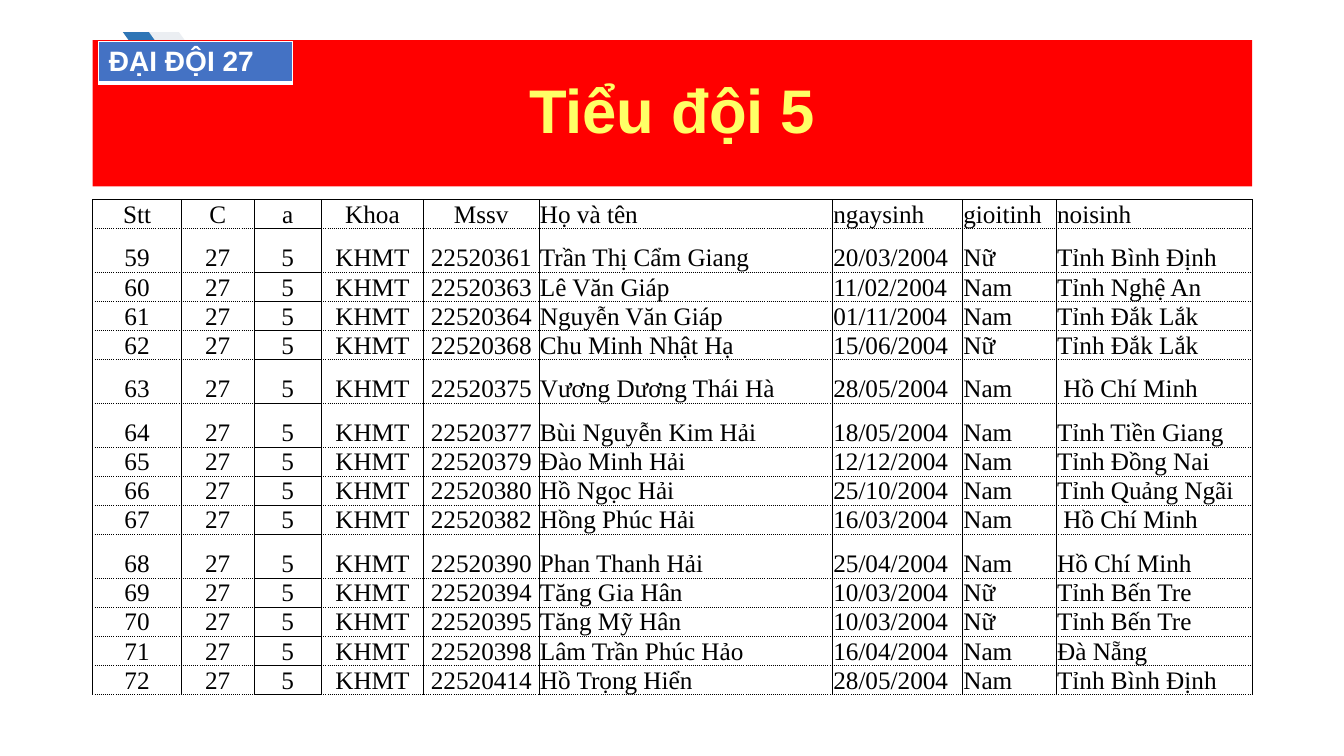
import pptx
import pptx.util
import pptx.dml.color
import pptx.enum.shapes
import pptx.enum.text
import pptx.oxml.ns
import lxml.etree

Pt = pptx.util.Pt
RGB = pptx.dml.color.RGBColor
SHAPE = pptx.enum.shapes.MSO_SHAPE
ALIGN = pptx.enum.text.PP_ALIGN
ANCHOR = pptx.enum.text.MSO_ANCHOR

WIDE = pptx.util.Inches(13.33)
HIGH = pptx.util.Inches(7.5)
COL = WIDE / 100
ROW = HIGH / 100

RED = RGB(0xFF, 0x00, 0x00)
LEMON = RGB(0xFF, 0xFF, 0x66)
NAVY = RGB(0x2E, 0x75, 0xB6)
MIST = RGB(0xEB, 0xEE, 0xF2)
BLUE = RGB(0x44, 0x72, 0xC4)
BLACK = RGB(0x00, 0x00, 0x00)
WHITE = RGB(0xFF, 0xFF, 0xFF)

TITLE = {"size": Pt(44), "name": "Arial", "bold": True}
BADGE = {"size": Pt(20), "name": "Arial", "bold": True}
BODY = {"size": Pt(18), "name": "Times New Roman", "bold": False}
PAD = {"margin_left": Pt(0.5), "margin_right": Pt(0.5), "margin_top": Pt(0.2),
       "margin_bottom": 0, "vertical_anchor": ANCHOR.BOTTOM}
PLAIN = {"first_row": False, "horz_banding": False}

SOLID = (BLACK, 0.5, "solid")
DOTS = (BLACK, 0.5, "dot")
THIN = (WHITE, 1, "solid")
THICK = (WHITE, 3, "solid")

WIDTHS = [88, 72, 67, 101, 115, 291, 129, 93, 194]
SHORT, TALL = 3.86, 5.76
TALL_AT = (1, 5, 6, 10)
SQUAD = 2
MIDDLE = 5
FIRST = 59

HEAD = ["Stt", "C", "a", "Khoa", "Mssv", "Họ và tên", "ngaysinh", "gioitinh", "noisinh"]
PEOPLE = [
    ("22520361", "Trần Thị Cẩm Giang", "20/03/2004", "Nữ", "Tỉnh Bình Định"),
    ("22520363", "Lê Văn Giáp", "11/02/2004", "Nam", "Tỉnh Nghệ An"),
    ("22520364", "Nguyễn Văn Giáp", "01/11/2004", "Nam", "Tỉnh Đắk Lắk"),
    ("22520368", "Chu Minh Nhật Hạ", "15/06/2004", "Nữ", "Tỉnh Đắk Lắk"),
    ("22520375", "Vương Dương Thái Hà", "28/05/2004", "Nam", " Hồ Chí Minh"),
    ("22520377", "Bùi Nguyễn Kim Hải", "18/05/2004", "Nam", "Tỉnh Tiền Giang"),
    ("22520379", "Đào Minh Hải", "12/12/2004", "Nam", "Tỉnh Đồng Nai"),
    ("22520380", "Hồ Ngọc Hải", "25/10/2004", "Nam", "Tỉnh Quảng Ngãi"),
    ("22520382", "Hồng Phúc Hải", "16/03/2004", "Nam", " Hồ Chí Minh"),
    ("22520390", "Phan Thanh Hải", "25/04/2004", "Nam", "Hồ Chí Minh"),
    ("22520394", "Tăng Gia Hân", "10/03/2004", "Nữ", "Tỉnh Bến Tre"),
    ("22520395", "Tăng Mỹ Hân", "10/03/2004", "Nữ", "Tỉnh Bến Tre"),
    ("22520398", "Lâm Trần Phúc Hảo", "16/04/2004", "Nam", "Đà Nẵng"),
    ("22520414", "Hồ Trọng Hiển", "28/05/2004", "Nam", "Tỉnh Bình Định"),
]


def place(left, top, width, height):
    return [round(v) for v in (left * COL, top * ROW, width * COL, height * ROW)]


def assign(item, look):
    for key, value in look.items():
        setattr(item, key, value)


def write(frame, text, look, tint, align):
    para = frame.paragraphs[0]
    para.alignment = align
    run = para.add_run()
    run.text = text
    assign(run.font, look)
    run.font.color.rgb = tint
    return para


def block(slide, kind, box, tint):
    shape = slide.shapes.add_shape(kind, *place(*box))
    shape.shadow.inherit = False
    shape.fill.solid()
    shape.fill.fore_color.rgb = tint
    shape.line.fill.background()
    return shape


def border(cell, sides):
    props = cell._tc.get_or_add_tcPr()
    for side in "LRTB":
        tint, width, dash = sides[side]
        line = lxml.etree.SubElement(props, pptx.oxml.ns.qn("a:ln" + side), w=str(Pt(width)))
        fill = lxml.etree.SubElement(line, pptx.oxml.ns.qn("a:solidFill"))
        lxml.etree.SubElement(fill, pptx.oxml.ns.qn("a:srgbClr"), val=str(tint))
        lxml.etree.SubElement(line, pptx.oxml.ns.qn("a:prstDash"), val=dash)


def table(slide, rows, cols, box):
    grid = slide.shapes.add_table(rows, cols, *place(*box)).table
    assign(grid, PLAIN)
    return grid


def roster(slide, box):
    lines = [HEAD] + [(str(FIRST + i), "27", "5", "KHMT", *who)
                      for i, who in enumerate(PEOPLE)]
    grid = table(slide, len(lines), len(HEAD), box)
    for col, part in zip(grid.columns, WIDTHS):
        col.width = round(box[2] * COL * part / sum(WIDTHS))
    for r, line in enumerate(lines):
        grid.rows[r].height = round((TALL if r in TALL_AT else SHORT) * ROW)
        for c, text in enumerate(line):
            cell = grid.cell(r, c)
            assign(cell, PAD)
            align = ALIGN.CENTER if c < MIDDLE else ALIGN.LEFT
            write(cell.text_frame, text, BODY, BLACK, align)
            flat = SOLID if c == SQUAD else DOTS
            border(cell, {"L": SOLID, "R": SOLID, "T": flat if r else SOLID, "B": flat})
            cell.fill.background()


def badge(slide, text, box):
    cell = table(slide, 1, 1, box).cell(0, 0)
    write(cell.text_frame, text, BADGE, WHITE, ALIGN.LEFT)
    border(cell, {"L": THIN, "R": THIN, "T": THIN, "B": THICK})
    cell.fill.solid()
    cell.fill.fore_color.rgb = BLUE


def banner(slide, text, box):
    shape = block(slide, SHAPE.RECTANGLE, box, RED)
    frame = shape.text_frame
    assign(frame, {"word_wrap": True, "vertical_anchor": ANCHOR.MIDDLE})
    write(frame, text, TITLE, LEMON, ALIGN.CENTER).line_spacing = 0.9


def main():
    deck = pptx.Presentation()
    assign(deck, {"slide_width": WIDE, "slide_height": HIGH})
    slide = deck.slides.add_slide(deck.slide_layouts[6])
    for i, tint in enumerate((NAVY, MIST)):
        mark = block(slide, SHAPE.CHEVRON, (9.15 + 1.95 * i, 4.27, 3.83, 8), tint)
        mark.adjustments[0] = 0.42
    banner(slide, "Tiểu đội 5", (6.9, 5.33, 86.27, 19.33))
    roster(slide, (6.9, 26.4, 86.27, 65.5))
    badge(slide, "ĐẠI ĐỘI 27", (7.35, 5.47, 14.4, 5.5))
    deck.save("out.pptx")


if __name__ == "__main__":
    main()
